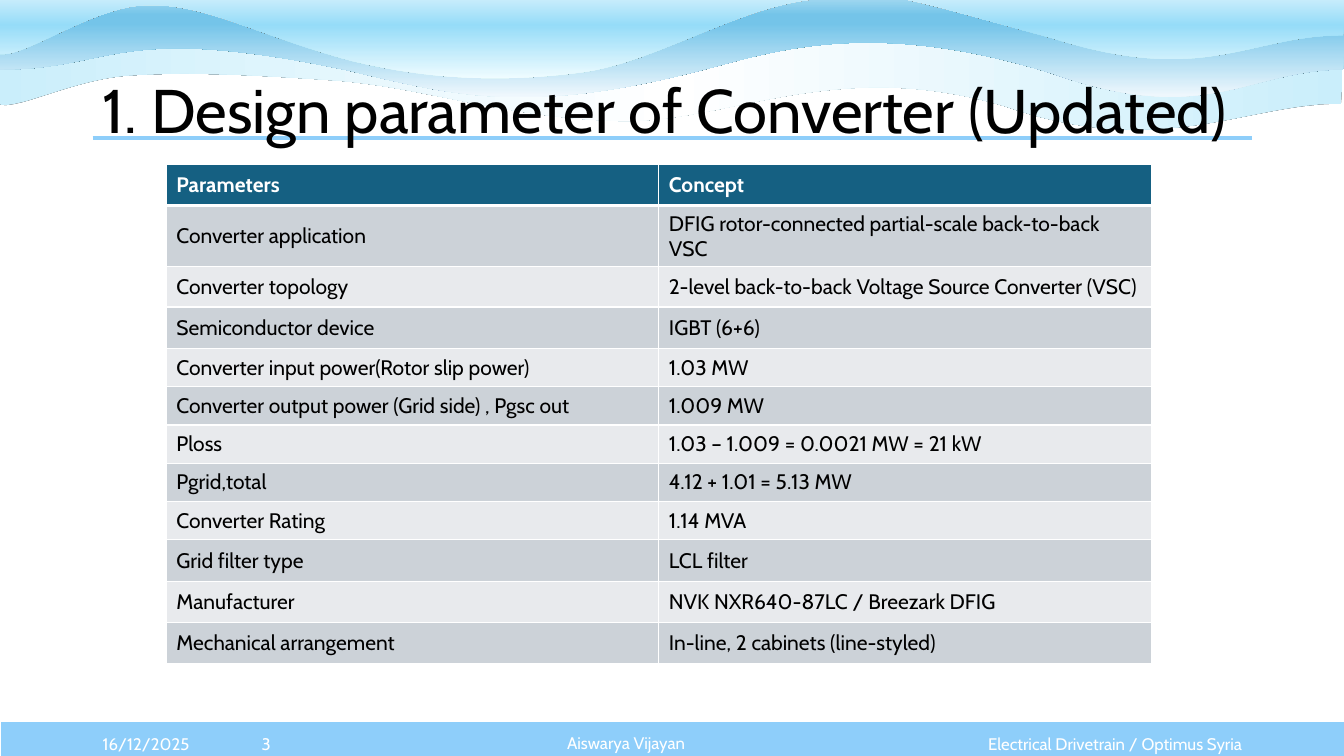
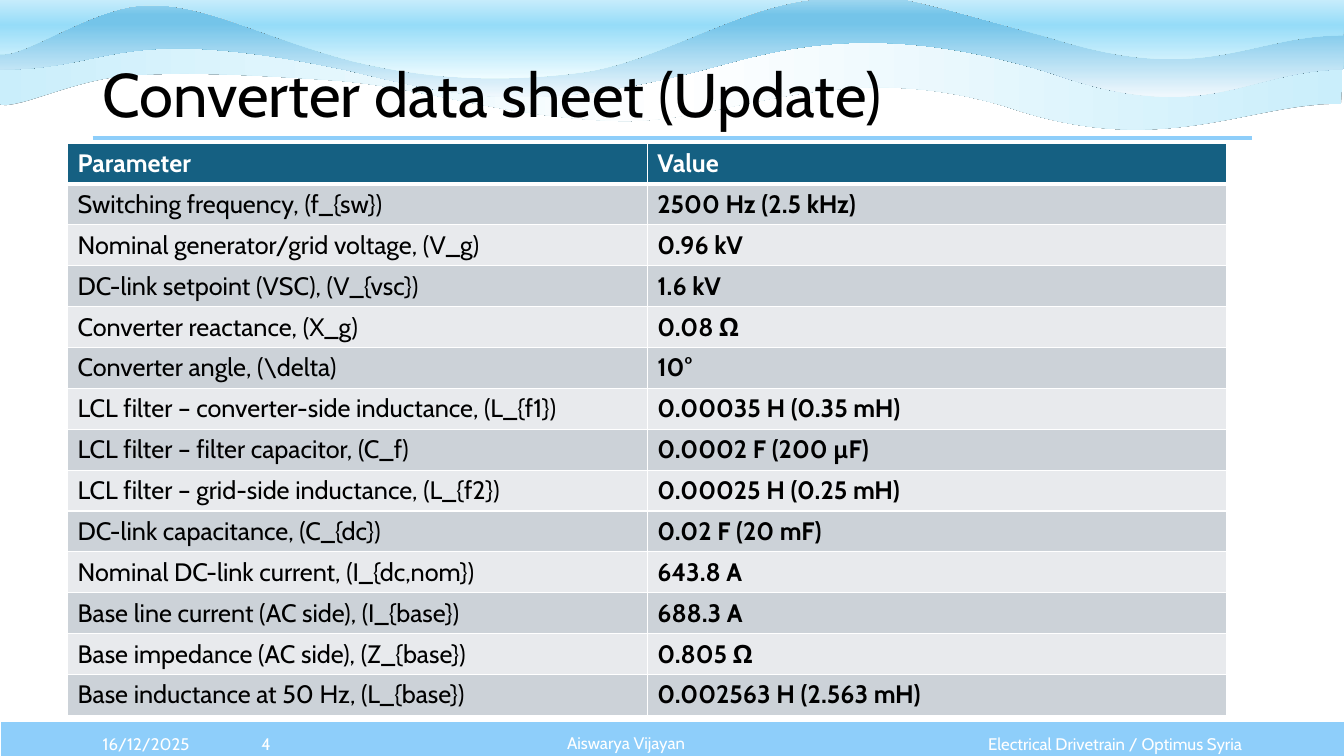
from lxml import etree
from pptx import Presentation
from pptx.dml.color import RGBColor
from pptx.enum.shapes import MSO_CONNECTOR, MSO_SHAPE
from pptx.enum.text import MSO_ANCHOR, MSO_AUTO_SIZE, PP_ALIGN
from pptx.oxml import parse_xml
from pptx.oxml.ns import nsdecls, qn
from pptx.util import Inches, Pt

FONT = "Cabin"
BLACK, WHITE, SKY = "000000", "FFFFFF", "8ECEFA"
HEADER_FILL, ROW_FILLS = "156082", ("CCD2D8", "E8EAED")
LEFT, WIDTH = 0.92, 11.5
FOOTER_TOP, FOOTER_HEIGHT = 7.18, 0.4

# Each wave: gradient stops, gradient angle, height, start point, then
# curves (six numbers) and straight edges (two numbers)
WAVES = [
    ([(0, "CAEEFB"), (50, "FFFFFF"), (100, "CAEEFB")], 0, 0.98, (13.3, 1.03), [
        (12.37, 1.02, 11.52, 1.59, 9.99, 1.06), (8.27, 0.54, 7.21, 1.24, 6.1, 1.2),
        (4.99, 1.16, 4.21, 0.87, 3.35, 0.8), (2.49, 0.74, 1.83, 0.71, 1.27, 0.75),
        (0.71, 0.79, 0.14, 1.11, -0.02, 1.03), (-0.02, 0.8, -0.04, 0.53, -0.04, 0.3),
        (3.13, 0.31), (6.52, 0.34), (9.41, 0.32), (13.32, 0.34),
        (13.32, 0.55, 13.32, 0.8, 13.3, 1.03)]),
    ([(0, "A2D8F0"), (17, "74C4E9"), (26, "74C4E9"), (100, "F0F8FD")], 90, 0.98,
     (13.32, 0.69), [
        (12.39, 0.69, 11.96, 1.27, 10.44, 0.73), (8.71, 0.19, 7.73, 0.49, 7.06, 0.67),
        (5.28, 1.14, 4.59, 0.97, 3.46, 0.7), (1.13, 0.21, 1.15, 0.69, 0, 0.69),
        (0, 0.46, 0.01, 0.23, 0.01, -0.01),
        (3.13, 0), (6.54, -0.02), (9.46, -0.01), (13.33, 0.03),
        (13.33, 0.25, 13.34, 0.46, 13.32, 0.69)]),
    ([(0, "FFFFFF"), (50, "96DCF8"), (100, "EFFCFF")], 90, 1.06, (13.32, 0.35), [
        (12.39, 0.35, 11.96, 0.86, 10.44, 0.38), (8.72, -0.09, 8.91, -0.07, 8.13, -0.01),
        (7.35, 0.04, 6.53, 0.62, 5.76, 0.72), (4.98, 0.82, 4.24, 0.79, 3.47, 0.6),
        (2.58, 0.36, 2.07, 0.05, 1.5, 0.05), (0.92, 0.04, 0.22, 0.61, -0.03, 0.53),
        (-0.02, 0.32, 0.01, -0.06, 0.01, -0.27),
        (3.13, -0.26), (6.54, -0.28), (9.46, -0.27), (13.33, -0.24),
        (13.33, -0.04, 13.34, 0.14, 13.32, 0.35)]),
]

DESIGN_ROWS = [
    ("Parameters", "Concept"),
    ("Converter application", "DFIG rotor-connected partial-scale back-to-back VSC"),
    ("Converter topology", "2-level back-to-back Voltage Source Converter (VSC)"),
    ("Semiconductor device", "IGBT (6+6)"),
    ("Converter input power(Rotor slip power)", "1.03 MW"),
    ("Converter output power (Grid side) , Pgsc out", "1.009 MW"),
    ("Ploss", "1.03 – 1.009 = 0.0021 MW = 21 kW"),
    ("Pgrid,total", "4.12 + 1.01 = 5.13 MW"),
    ("Converter Rating", "1.14 MVA"),
    ("Grid filter type", "LCL filter"),
    ("Manufacturer", "NVK NXR640-87LC / Breezark DFIG"),
    ("Mechanical arrangement", "In-line, 2 cabinets (line-styled)"),
]
DESIGN_HEIGHTS = [0.41, 0.48, 0.4, 0.41] + [0.38] * 5 + [0.41] * 3

DATA_ROWS = [
    ("Parameter", "Value"),
    ("Switching frequency, (f_{sw})", "2500 Hz (2.5 kHz)"),
    ("Nominal generator/grid voltage, (V_g)", "0.96 kV"),
    ("DC-link setpoint (VSC), (V_{vsc})", "1.6 kV"),
    ("Converter reactance, (X_g)", "0.08 Ω"),
    ("Converter angle, (\\delta)", "10°"),
    ("LCL filter – converter-side inductance, (L_{f1})", "0.00035 H (0.35 mH)"),
    ("LCL filter – filter capacitor, (C_f)", "0.0002 F (200 µF)"),
    ("LCL filter – grid-side inductance, (L_{f2})", "0.00025 H (0.25 mH)"),
    ("DC-link capacitance, (C_{dc})", "0.02 F (20 mF)"),
    ("Nominal DC-link current, (I_{dc,nom})", "643.8 A"),
    ("Base line current (AC side), (I_{base})", "688.3 A"),
    ("Base impedance (AC side), (Z_{base})", "0.805 Ω"),
    ("Base inductance at 50 Hz, (L_{base})", "0.002563 H (2.563 mH)"),
]
DATA_HEIGHTS = [5.68 / len(DATA_ROWS)] * len(DATA_ROWS)


def color(value):
    return RGBColor.from_string(value)


def place(shape, left, top, width, height):
    shape.left, shape.top = Inches(left), Inches(top)
    shape.width, shape.height = Inches(width), Inches(height)


def write(frame, text, size, ink, align=PP_ALIGN.LEFT, bold=False):
    """Fill a text frame with one formatted paragraph."""
    frame.text = text
    frame.word_wrap = True
    para = frame.paragraphs[0]
    para.alignment = align
    font = para.runs[0].font
    font.name, font.size, font.bold = FONT, Pt(size), bold
    font.color.rgb = color(ink)
    return para


def bend_edges(wave, edges):
    """Turn the straight edges that have control points into curves."""
    lines = list(wave.element.iter(qn("a:lnTo")))
    for line, edge in zip(lines, edges):
        if len(edge) == 2:
            continue
        curve = etree.Element(qn("a:cubicBezTo"))
        for x, y in zip(edge[::2], edge[1::2]):
            etree.SubElement(curve, qn("a:pt"), x=str(Inches(x) - wave.left),
                             y=str(Inches(y) - wave.top))
        line.getparent().replace(line, curve)


def add_wave(page, stops, angle, height, start, edges):
    builder = page.shapes.build_freeform(Inches(start[0]), Inches(start[1]))
    builder.add_line_segments([(Inches(edge[-2]), Inches(edge[-1])) for edge in edges],
                              close=True)
    wave = builder.convert_to_shape()
    bend_edges(wave, edges)
    # The curves swing below their end points
    wave.height = Inches(height)
    next(wave.element.iter(qn("a:path"))).set("h", str(wave.height))
    wave.line.fill.background()
    stop_xml = "".join(f'<a:gs pos="{pos * 1000}"><a:srgbClr val="{value}"/></a:gs>'
                       for pos, value in stops)
    gradient = parse_xml(f'<a:gradFill {nsdecls("a")}><a:gsLst>{stop_xml}</a:gsLst>'
                         f'<a:lin ang="{angle * 60000}" scaled="0"/></a:gradFill>')
    shadow = parse_xml(f'<a:effectLst {nsdecls("a")}><a:outerShdw>'
                       f'<a:srgbClr val="{BLACK}"/></a:outerShdw></a:effectLst>')
    properties = wave.element.spPr
    properties.find(qn("a:custGeom")).addnext(gradient)
    properties.append(shadow)
    return wave


def decorate_layout(page):
    """Draw the shared band, waves and title rule, and keep them on the layout."""
    band = page.shapes.add_shape(MSO_SHAPE.RECTANGLE, Inches(0), Inches(7.15),
                                 Inches(13.35), Inches(0.4))
    band.shadow.inherit = False
    band.fill.solid()
    band.fill.fore_color.rgb = color(SKY)
    band.line.color.rgb = color(WHITE)
    band.line.width = Pt(1.5)

    waves = [add_wave(page, *wave) for wave in WAVES]

    rule = page.shapes.add_connector(MSO_CONNECTOR.STRAIGHT, Inches(LEFT), Inches(1.37),
                                     Inches(LEFT + WIDTH), Inches(1.37))
    rule.line.color.rgb = color(SKY)
    rule.line.width = Pt(3)
    etree.SubElement(rule.element.spPr, qn("a:effectLst"))

    tree = page.slide_layout.shapes.element
    for index, shape in enumerate([band, *waves, rule], start=2):
        tree.insert(index, shape.element)


def add_title(page, text, top):
    title = page.shapes.title
    place(title, LEFT, top, WIDTH, 1.45)
    para = write(title.text_frame, text, 44, BLACK)
    para.line_spacing = 0.9
    title.text_frame.vertical_anchor = MSO_ANCHOR.MIDDLE
    title.text_frame.auto_size = MSO_AUTO_SIZE.NONE


def add_footer(page, number):
    # Author, in the body placeholder without its bullet
    author = page.placeholders[1]
    place(author, 3.15, FOOTER_TOP, 6.12, FOOTER_HEIGHT)
    frame = author.text_frame
    para = write(frame, "Aiswarya Vijayan", 12, WHITE, PP_ALIGN.CENTER)
    para.line_spacing = 0.9
    para.space_before = Pt(0)
    properties = para._p.get_or_add_pPr()
    properties.set("marL", "0")
    properties.set("indent", "0")
    etree.SubElement(properties, qn("a:buNone"))
    frame.vertical_anchor = MSO_ANCHOR.MIDDLE
    frame.auto_size = MSO_AUTO_SIZE.NONE

    # Date, page number and project
    for text, left, width, align in (
            ("16/12/2025", LEFT, 1.22, PP_ALIGN.LEFT),
            (str(number), 2.13, 1.02, PP_ALIGN.CENTER),
            ("Electrical Drivetrain / Optimus Syria", 9.27, 3.15, PP_ALIGN.RIGHT)):
        box = page.shapes.add_textbox(Inches(left), Inches(FOOTER_TOP),
                                      Inches(width), Inches(FOOTER_HEIGHT))
        write(box.text_frame, text, 12, WHITE, align)
        box.text_frame.vertical_anchor = MSO_ANCHOR.MIDDLE


def set_borders(cell, top, bottom):
    properties = cell._tc.get_or_add_tcPr()
    for side, points in (("L", 1), ("R", 1), ("T", top), ("B", bottom)):
        properties.append(parse_xml(
            f'<a:ln{side} {nsdecls("a")} w="{points * 12700}"><a:solidFill>'
            f'<a:srgbClr val="{WHITE}"/></a:solidFill></a:ln{side}>'))


def add_parameter_table(page, rows, heights, left, top, width, size, bold_values):
    frame = page.shapes.add_table(len(rows), 2, Inches(left), Inches(top),
                                  Inches(width), Inches(sum(heights)))
    table = frame.table
    for column in table.columns:
        column.width = Inches(width / 2)
    for row_index, (texts, height) in enumerate(zip(rows, heights)):
        table.rows[row_index].height = Inches(height)
        header = row_index == 0
        for column_index, text in enumerate(texts):
            cell = table.cell(row_index, column_index)
            bold = header or (bold_values and column_index == 1)
            write(cell.text_frame, text, size, WHITE if header else BLACK, bold=bold)
            cell.vertical_anchor = MSO_ANCHOR.MIDDLE
            set_borders(cell, 3 if row_index == 1 else 1, 3 if header else 1)
            cell.fill.solid()
            cell.fill.fore_color.rgb = color(
                HEADER_FILL if header else ROW_FILLS[(row_index - 1) % 2])


def add_table_page(deck, number, title, title_top, **table):
    page = deck.slides.add_slide(deck.slide_layouts[1])
    add_title(page, title, title_top)
    add_parameter_table(page, **table)
    add_footer(page, number)
    return page


def main():
    deck = Presentation()
    deck.slide_width, deck.slide_height = Inches(13.33), Inches(7.5)
    first = add_table_page(deck, 3, "1. Design parameter of Converter (Updated)", 0.4,
                           rows=DESIGN_ROWS, heights=DESIGN_HEIGHTS, left=1.65, top=1.63,
                           width=9.77, size=15, bold_values=False)
    decorate_layout(first)
    add_table_page(deck, 4, "Converter data sheet (Update)", 0.24,
                   rows=DATA_ROWS, heights=DATA_HEIGHTS, left=0.67, top=1.42,
                   width=11.5, size=18, bold_values=True)
    deck.save("out.pptx")


if __name__ == "__main__":
    main()
